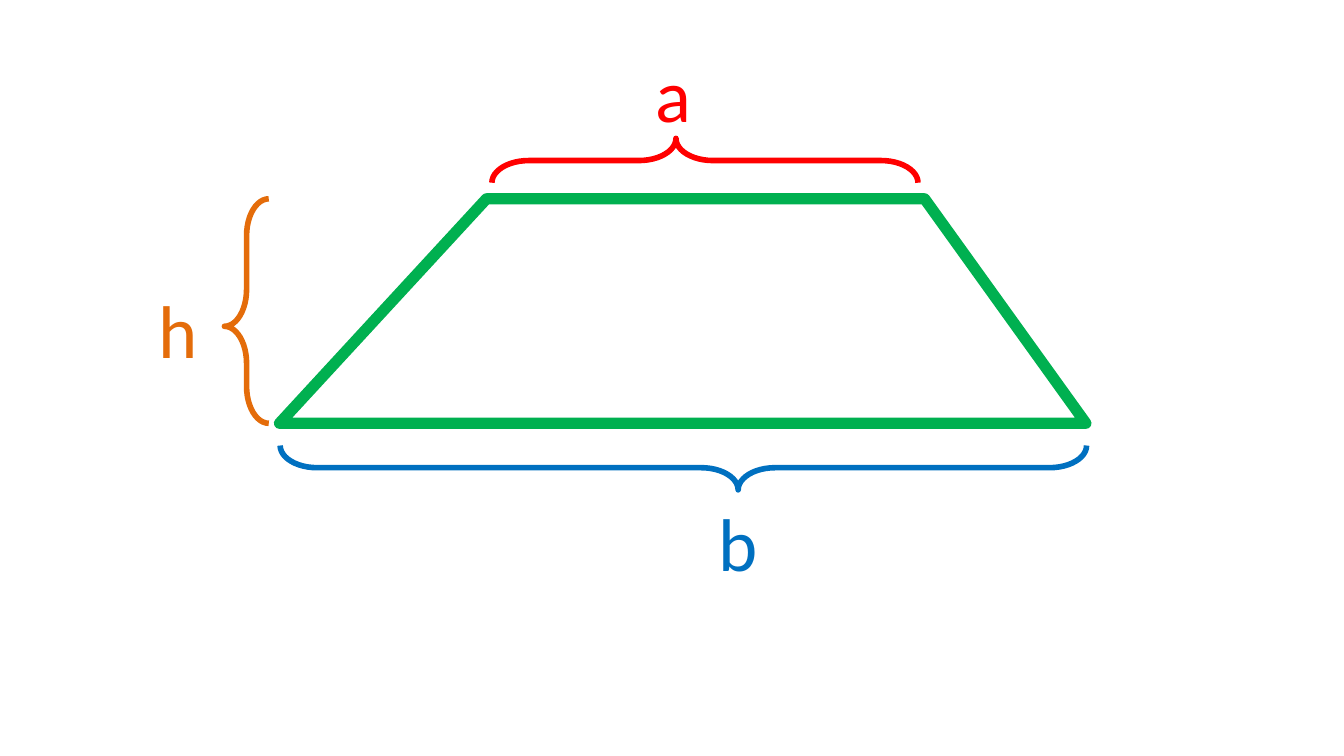
"""Build a slide showing a trapezoid with its sides and height labelled."""
from pptx import Presentation
from pptx import util as u
from pptx.dml.color import RGBColor
from pptx.enum import shapes, text

COLORS = {
    "trapezoid": "00B050",
    "height": "E46C0A",
    "base": "0070C0",
    "top": "FF0000",
}
CORNERS = [(8.08, 3.15), (2.08, 3.15), (3.62, 1.48), (6.88, 1.48)]
BRACE_DEPTH = 0.33


def style_outline(sp, color, width):
    sp.shadow.inherit = False
    sp.fill.background()
    sp.line.color.rgb = RGBColor.from_string(COLORS[color])
    sp.line.width = u.Pt(width)


def add_trapezoid(s):
    points = [(u.Inches(x), u.Inches(y)) for x, y in CORNERS]
    builder = s.shapes.build_freeform(*points[0])
    builder.add_line_segments(points[1:], close=True)
    style_outline(builder.convert_to_shape(), "trapezoid", 6)


def add_brace(s, left, top, length, rotation, color):
    sp = s.shapes.add_shape(
        shapes.MSO_SHAPE.LEFT_BRACE,
        u.Inches(left), u.Inches(top), u.Inches(BRACE_DEPTH), u.Inches(length),
    )
    sp.adjustments[0] = 0.835
    sp.adjustments[1] = 0.568
    sp.rotation = rotation
    style_outline(sp, color, 3)


def add_label(s, label, left, top, width, color):
    sp = s.shapes.add_textbox(
        u.Inches(left), u.Inches(top), u.Inches(width), u.Inches(0.77)
    )
    tf = sp.text_frame
    tf.word_wrap = True
    tf.auto_size = text.MSO_AUTO_SIZE.SHAPE_TO_FIT_TEXT
    tf.text = label
    r = tf.paragraphs[0].runs[0]
    r.font.name = "Calibri"
    r.font.size = u.Pt(40)
    r.font.color.rgb = RGBColor.from_string(COLORS[color])


def main():
    prs = Presentation()
    prs.slide_width, prs.slide_height = u.Inches(10), u.Inches(10 * 9 / 16)
    s = prs.slides.add_slide(prs.slide_layouts[6])

    add_trapezoid(s)
    add_brace(s, 1.67, 1.48, 1.67, 0, "height")
    add_label(s, "h", 1.08, 2.06, 0.58, "height")
    add_brace(s, 4.92, 0.48, 6, 270, "base")
    add_label(s, "b", 5.25, 3.65, 0.58, "base")
    add_brace(s, 5.08, -0.39, 3.17, 90, "top")
    add_label(s, "a", 4.78, 0.31, 0.46, "top")

    prs.save("out.pptx")


if __name__ == "__main__":
    main()
